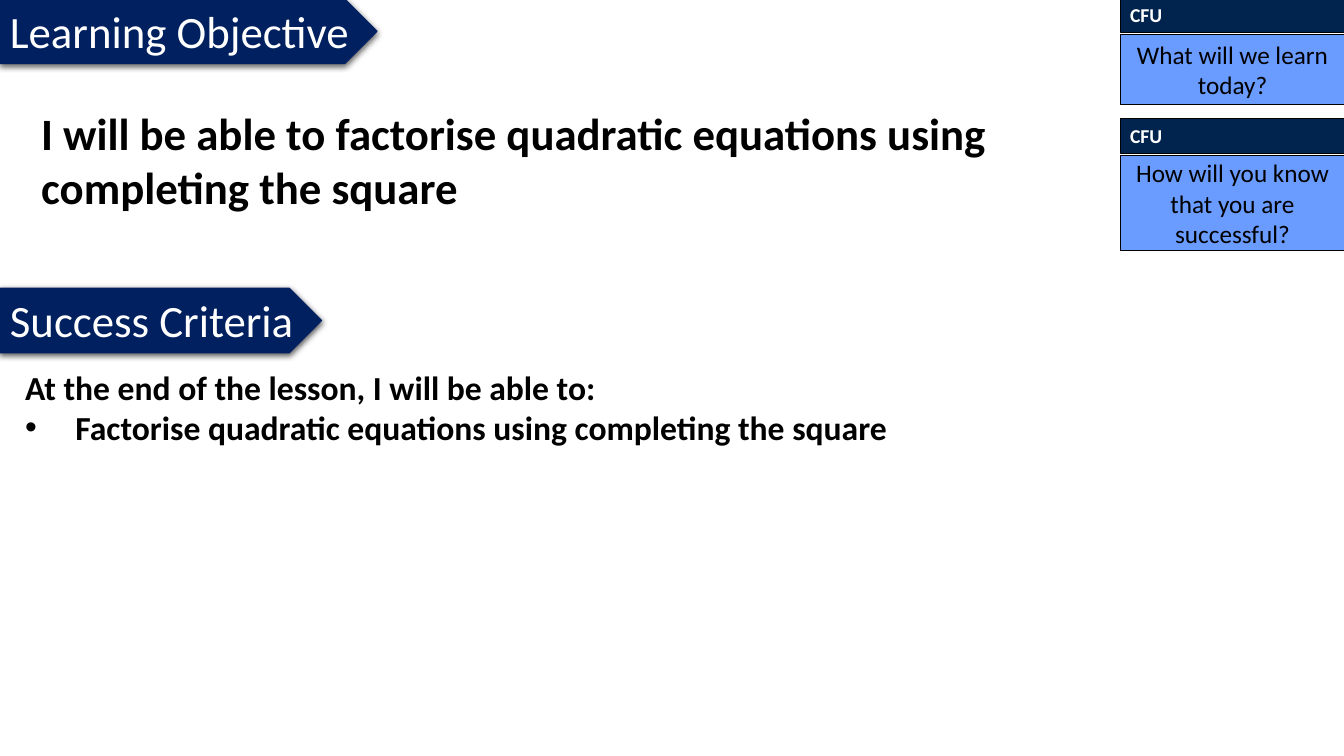
from lxml import etree
from pptx import Presentation
from pptx.dml.color import RGBColor
from pptx.enum.shapes import MSO_SHAPE
from pptx.enum.text import MSO_ANCHOR, MSO_AUTO_SIZE, PP_ALIGN
from pptx.oxml.ns import qn
from pptx.util import Inches, Pt

RECT, ARROW = MSO_SHAPE.RECTANGLE, MSO_SHAPE.PENTAGON
TOP, MIDDLE = MSO_ANCHOR.TOP, MSO_ANCHOR.MIDDLE
GROW, FIXED = MSO_AUTO_SIZE.SHAPE_TO_FIT_TEXT, MSO_AUTO_SIZE.NONE
LEFT, CENTER = PP_ALIGN.LEFT, PP_ALIGN.CENTER


def color(code):
    return RGBColor.from_string(code)


def node(parent, tag, **attrs):
    return etree.SubElement(parent, qn(tag), {k: str(v) for k, v in attrs.items()})


class Lesson:
    font = "Calibri"
    black, white = "000000", "FFFFFF"
    navy, dark, blue = "002060", "01244E", "0759FF"

    def __init__(self, slide):
        self.slide = slide

    def add_run(self, para, text, size, ink, bold=False, align=LEFT):
        para.alignment = align
        run = para.add_run()
        run.text = text
        run.font.name, run.font.size = self.font, Pt(size)
        run.font.bold = bold
        run.font.color.rgb = color(ink)

    def bullet(self, para):
        props = para._p.get_or_add_pPr()
        props.set("marL", str(Inches(0.5)))
        props.set("indent", str(-Inches(0.5)))
        node(props, "a:buFont", typeface="Arial")
        node(props, "a:buChar", char="•")

    def text(self, at, lines, size):
        """Add bold text; every line after the first is a bullet."""
        frame = self.slide.shapes.add_textbox(*map(Inches, at)).text_frame
        frame.word_wrap, frame.auto_size = True, GROW
        for i, line in enumerate(lines):
            para = frame.add_paragraph() if i else frame.paragraphs[0]
            if i:
                self.bullet(para)
            self.add_run(para, line, size, self.black, True)

    def shape(self, shapes, kind, at, fill, line, anchor=TOP, fit=GROW, wrap=True):
        item = shapes.add_shape(kind, *map(Inches, at))
        item.shadow.inherit = False
        item.fill.solid()
        item.fill.fore_color.rgb = color(fill)
        item.line.color.rgb = color(line)
        item.line.width = Pt(0.75)
        frame = item.text_frame
        frame.vertical_anchor, frame.auto_size = anchor, fit
        frame.word_wrap = wrap
        return item

    def banner(self, top, width, title):
        item = self.shape(self.slide.shapes, ARROW, (0, top, width, 0.64),
                          self.navy, self.navy, wrap=False)
        effects = item._element.spPr.find(qn("a:effectLst"))
        shade = node(effects, "a:outerShdw", blurRad=Pt(4.5), dist=Pt(1.5),
                     dir=5400000, algn="ctr", rotWithShape=0)
        node(node(shade, "a:srgbClr", val=self.black), "a:alpha", val=63000)
        self.add_run(item.text_frame.paragraphs[0], title, 32, self.white)

    def check(self, top, height, question):
        """Add a CFU heading with its question below, as one group."""
        shapes = self.slide.shapes.add_group_shape().shapes
        left, width = 11.11, 2.23
        head = self.shape(shapes, RECT, (left, top, width, 0.34), self.dark, self.black)
        self.add_run(head.text_frame.paragraphs[0], "CFU", 14, self.white, True)
        body = self.shape(shapes, RECT, (left, top + 0.36, width, height),
                          self.blue, self.black, MIDDLE, FIXED)
        fill = body._element.spPr.find(qn("a:solidFill"))
        node(fill[0], "a:alpha", val=60000)
        self.add_run(body.text_frame.paragraphs[0], question, 18, self.black, align=CENTER)


def main():
    deck = Presentation()
    deck.slide_width, deck.slide_height = Inches(13.33), Inches(7.5)
    page = Lesson(deck.slides.add_slide(deck.slide_layouts[6]))
    page.text((0.31, 1, 9.81, 1.18),
              ["I will be able to factorise quadratic equations using completing the square"], 32)
    page.text((0.15, 3.59, 12, 0.91),
              ["At the end of the lesson, I will be able to:",
               "Factorise quadratic equations using completing the square"], 24)
    page.check(-0.02, 0.7, "What will we learn today?")
    page.check(1.18, 0.95, "How will you know that you are successful?")
    page.banner(-0.01, 3.74, "Learning Objective")
    page.banner(2.86, 3.19, "Success Criteria")
    deck.save("out.pptx")


if __name__ == "__main__":
    main()
